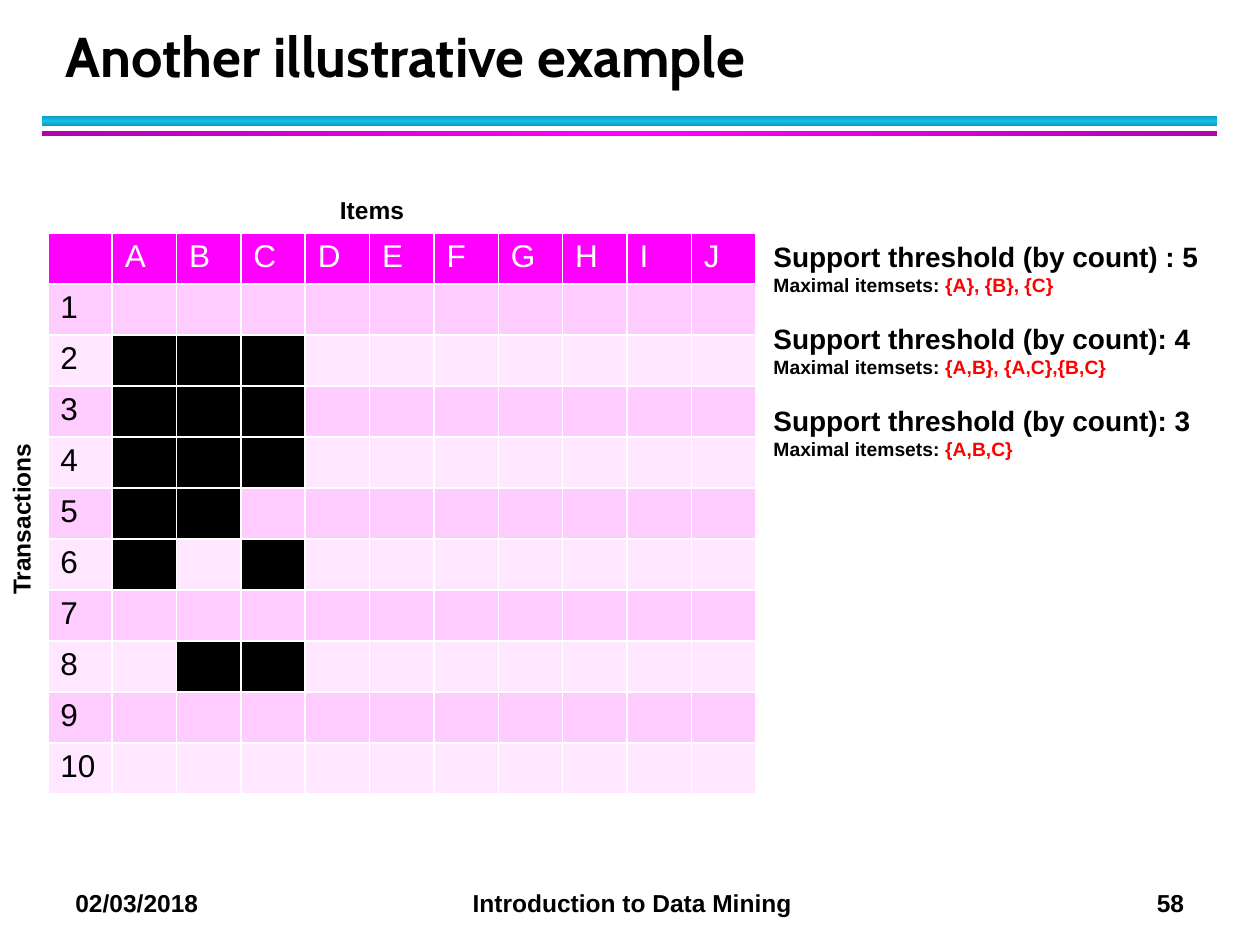
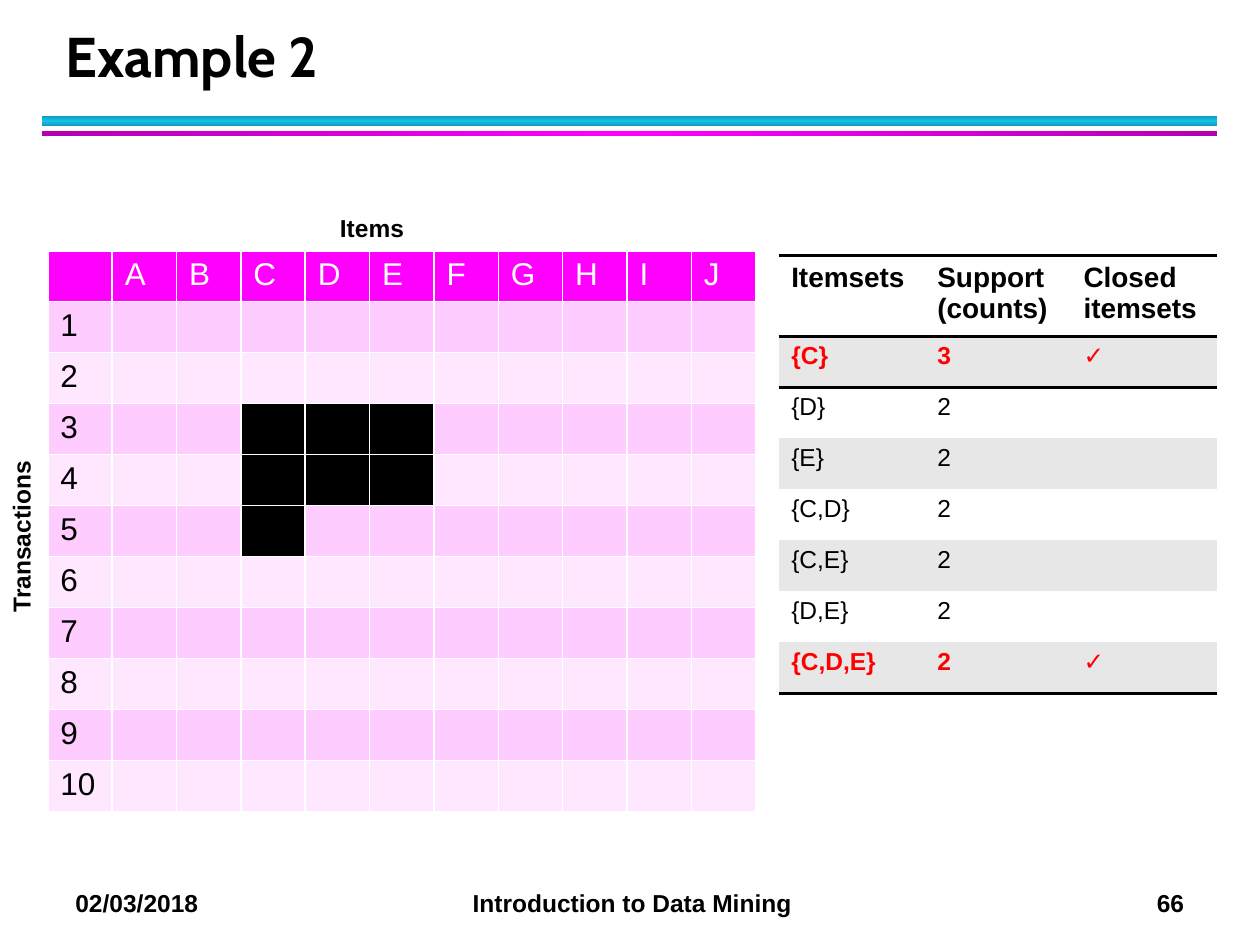
from copy import deepcopy
from dataclasses import dataclass

from lxml import etree
from pptx import Presentation, util as u
from pptx.dml.color import RGBColor
from pptx.enum import shapes, text
from pptx.oxml.ns import qn

ITEMS = "ABCDEFGHIJ"
TRANSACTIONS = range(1, 11)
DATE, COURSE = "02/03/2018", "Introduction to Data Mining"

EXAMPLES = [
    {
        "title": "Another illustrative example",
        "number": "58",
        "grid_top": 1.85,
        "bought": {2: "ABC", 3: "ABC", 4: "ABC", 5: "AB", 6: "AC", 8: "BC"},
        "thresholds": [
            ("Support threshold (by count) : 5", "{A}, {B}, {C}"),
            ("Support threshold (by count): 4", "{A,B}, {A,C},{B,C}"),
            ("Support threshold (by count): 3", "{A,B,C}"),
        ],
    },
    {
        "title": "Example 2",
        "number": "66",
        "grid_top": 1.99,
        "bought": {3: "CDE", 4: "CDE", 5: "C"},
        "itemsets": [
            ("{C}", "3", "✓"),
            ("{D}", "2", ""),
            ("{E}", "2", ""),
            ("{C,D}", "2", ""),
            ("{C,E}", "2", ""),
            ("{D,E}", "2", ""),
            ("{C,D,E}", "2", "✓"),
        ],
    },
]
ITEMSET_HEADINGS = ("Itemsets", "Support\n(counts)", "Closed itemsets")


@dataclass(frozen=True)
class Theme:
    body_font: str = "Arial"
    title_font: str = "Cabin"
    ink: str = "000000"
    paper: str = "FFFFFF"
    accent: str = "FF0000"
    heading_fill: str = "FF00FF"
    grid_bands: tuple = ("FFCCFF", "FFE7FF")
    itemset_bands: tuple = ("E7E7E7", "FFFFFF")
    cyan: tuple = ("0E9BBA", "12C2E9", "0E9BBA")
    magenta: tuple = ("B200B2", "FF00FF", "B200B2")
    title_size: int = 32
    grid_size: int = 18
    heading_size: int = 16
    label_size: int = 14
    detail_size: int = 11


THEME = Theme()
NO_TABLE_STYLE = "{2D5ABB26-0587-4C30-8999-92F81FD0307C}"
ROW_HEIGHT = 0.405


def write(paragraph, words, size=THEME.label_size, color=THEME.ink, bold=True, font=THEME.body_font):
    run = paragraph.add_run()
    run.text = words
    run.font.name, run.font.size, run.font.bold = font, u.Pt(size), bold
    run.font.color.rgb = RGBColor.from_string(color)


def add_frame(slide, left, top, width, height, rotation=0):
    box = slide.shapes.add_textbox(*map(u.Inches, (left, top, width, height)))
    box.rotation = rotation
    box.text_frame.word_wrap = True
    return box.text_frame


def add_band(slide, top, height, colors, angle):
    band = slide.shapes.add_shape(
        shapes.MSO_SHAPE.RECTANGLE, *map(u.Inches, (0.33, top, 9.33, height)))
    band.shadow.inherit = False
    band.line.fill.background()
    band.fill.gradient()
    band.fill.gradient_angle = angle
    stops = band._element.find(".//" + qn("a:gsLst"))
    stops.append(deepcopy(stops[-1]))
    for stop, color, position in zip(band.fill.gradient_stops, colors, (0, 0.5, 1)):
        stop.color.rgb = RGBColor.from_string(color)
        stop.position = position


def add_footer(slide, number):
    footer = add_frame(slide, 0.5, 7, 9.33, 0.34).paragraphs[0]
    tabs = etree.SubElement(footer._p.get_or_add_pPr(), qn("a:tabLst"))
    for position, alignment in ((4.42, "ctr"), (8.8, "r")):
        etree.SubElement(tabs, qn("a:tab"), pos=str(u.Inches(position)), algn=alignment)
    write(footer, "\t".join((DATE, COURSE, number)))


def add_frame_parts(slide, title, number):
    add_band(slide, 0.92, 0.08, THEME.cyan, 90)
    add_band(slide, 1.04, 0.04, THEME.magenta, 0)
    add_footer(slide, number)
    heading = add_frame(slide, 0.42, 0.17, 9.06, 0.58)
    heading.vertical_anchor = text.MSO_ANCHOR.BOTTOM
    heading.paragraphs[0].line_spacing = u.Pt(36)
    write(heading.paragraphs[0], title, size=THEME.title_size, font=THEME.title_font)


def add_plain_table(slide, left, top, width, row_heights, columns):
    frame = slide.shapes.add_table(
        len(row_heights), columns,
        *map(u.Inches, (left, top, width, sum(row_heights))))
    table = frame.table
    table.first_row = table.horz_banding = False
    table._tbl.tblPr.find(qn("a:tableStyleId")).text = NO_TABLE_STYLE
    for row, height in zip(table.rows, row_heights):
        row.height = u.Inches(height)
    for column in table.columns:
        column.width = u.Inches(width / columns)
    return table


def fill_cell(cell, words, fill, sides="", line=THEME.ink, weight=1, **style):
    properties = cell._tc.get_or_add_tcPr()
    for side in sides:
        edge = etree.SubElement(properties, qn("a:ln" + side), w=str(u.Pt(weight)))
        solid = etree.SubElement(edge, qn("a:solidFill"))
        etree.SubElement(solid, qn("a:srgbClr"), val=line)
    cell.fill.solid()
    cell.fill.fore_color.rgb = RGBColor.from_string(fill)
    for index, part in enumerate(words.split("\n") if words else []):
        paragraph = cell.text_frame.add_paragraph() if index else cell.text_frame.paragraphs[0]
        write(paragraph, part, **style)


def add_transactions(slide, top, bought):
    grid = add_plain_table(
        slide, 0.38, top, 5.62, [ROW_HEIGHT] * (len(TRANSACTIONS) + 1), len(ITEMS) + 1)
    edges = {"sides": "LRTB", "line": THEME.paper, "size": THEME.grid_size, "bold": False}
    for column, item in enumerate(["", *ITEMS]):
        fill_cell(grid.cell(0, column), item, THEME.heading_fill, color=THEME.paper, **edges)
        for row in TRANSACTIONS:
            band = THEME.grid_bands[(row - 1) % 2]
            present = item and item in bought.get(row, "")
            fill_cell(grid.cell(row, column), "" if item else str(row),
                      THEME.ink if present else band, **edges)
    write(add_frame(slide, 2.6, top - 0.35, 0.77, 0.4).paragraphs[0], "Items")
    write(add_frame(slide, -0.54, top + 2.03, 1.48, 0.4, rotation=270).paragraphs[0],
          "Transactions")


def add_thresholds(slide, thresholds):
    frame = add_frame(slide, 6.04, 1.85, 3.62, 1.85)
    for index, (threshold, maximal) in enumerate(thresholds):
        heading = frame.add_paragraph() if index else frame.paragraphs[0]
        if index:
            heading.space_before = u.Pt(14.6)
        write(heading, threshold, size=THEME.heading_size)
        detail = frame.add_paragraph()
        write(detail, "Maximal itemsets: ", size=THEME.detail_size)
        write(detail, maximal, size=THEME.detail_size, color=THEME.accent)


def add_itemsets(slide, itemsets):
    table = add_plain_table(
        slide, 6.18, 2.03, 3.48, [0.64] + [ROW_HEIGHT] * len(itemsets), len(ITEMSET_HEADINGS))
    for column, heading in enumerate(ITEMSET_HEADINGS):
        fill_cell(table.cell(0, column), heading, THEME.paper, sides="TB", weight=2,
                  size=THEME.heading_size)
    for row, itemset in enumerate(itemsets, 1):
        closed = bool(itemset[-1])
        sides = "T" * (row == 1) + "B" * (row == len(itemsets))
        for column, value in enumerate(itemset):
            fill_cell(table.cell(row, column), value, THEME.itemset_bands[(row - 1) % 2],
                      sides=sides, weight=2, bold=closed,
                      color=THEME.accent if closed else THEME.ink)


def main():
    deck = Presentation()
    deck.slide_width, deck.slide_height = u.Inches(10), u.Inches(7.5)
    for example in EXAMPLES:
        slide = deck.slides.add_slide(deck.slide_layouts[6])
        add_frame_parts(slide, example["title"], example["number"])
        add_transactions(slide, example["grid_top"], example["bought"])
        if "thresholds" in example:
            add_thresholds(slide, example["thresholds"])
        if "itemsets" in example:
            add_itemsets(slide, example["itemsets"])
    deck.save("out.pptx")


if __name__ == "__main__":
    main()
